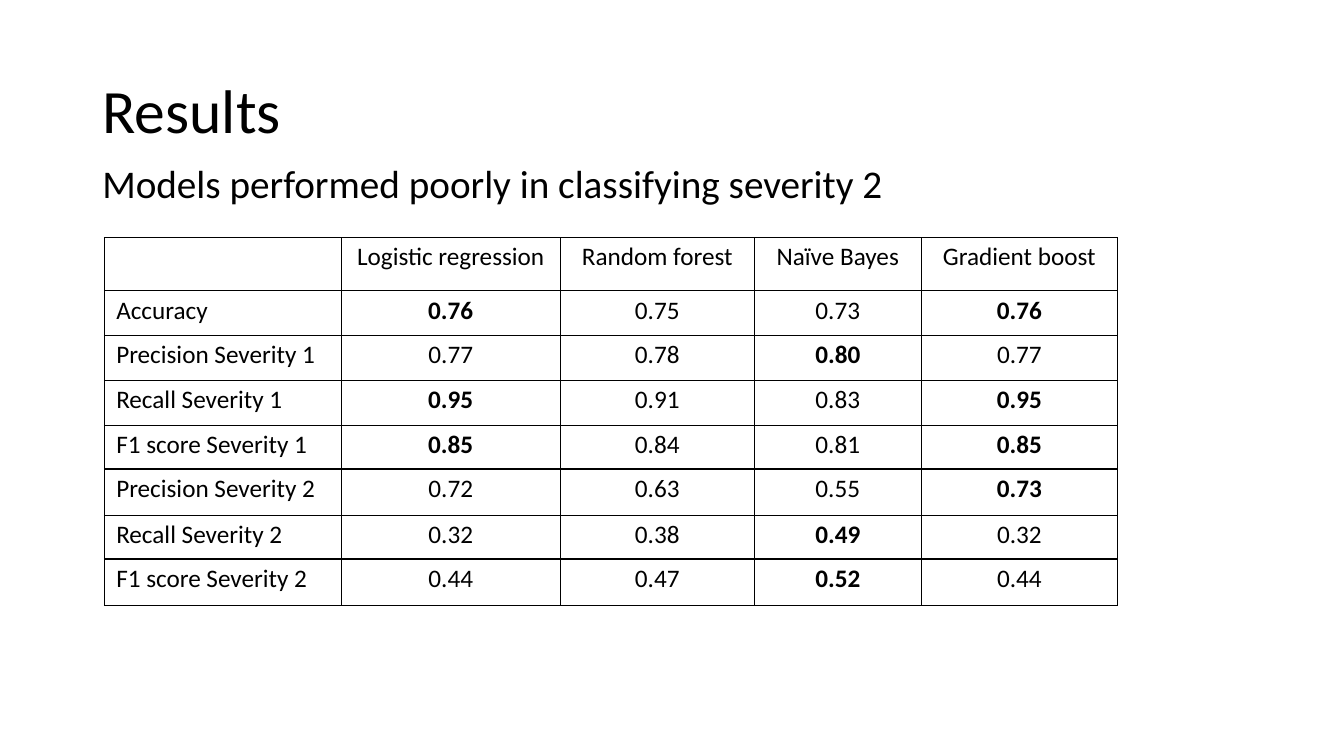
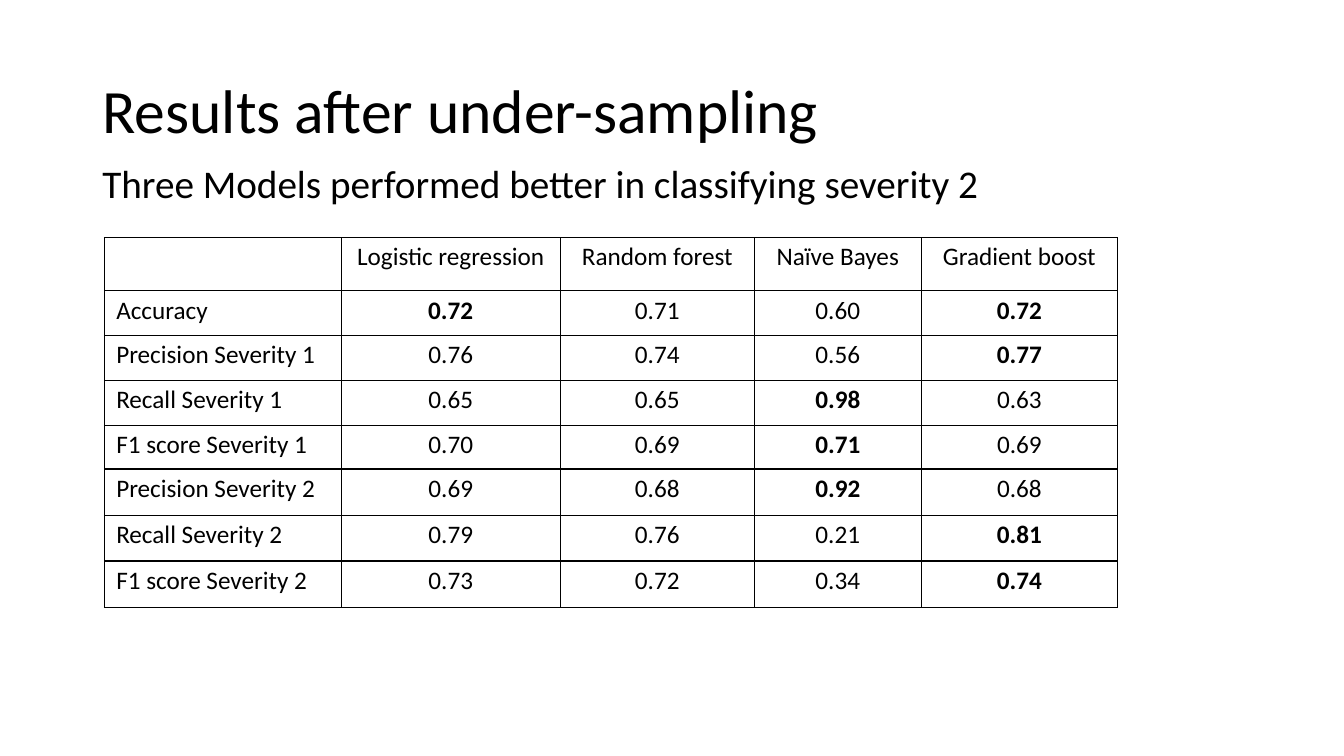
import pptx
import pptx.dml.color
import pptx.enum.text
import pptx.oxml
import pptx.oxml.ns
import pptx.util

Cm = pptx.util.Cm
Pt = pptx.util.Pt
ALIGN = pptx.enum.text.PP_ALIGN

MODELS = ["Logistic regression", "Random forest", "Naïve Bayes", "Gradient boost"]
METRICS = [
    "Accuracy",
    "Precision Severity 1",
    "Recall Severity 1",
    "F1 score Severity 1",
    "Precision Severity 2",
    "Recall Severity 2",
    "F1 score Severity 2",
]
SLIDES = [
    {
        "title": "Results",
        "subtitle": "Models performed poorly in classifying severity 2",
        "subtitle_width": 21.56,
        "scores": [
            (0.76, 0.75, 0.73, 0.76),
            (0.77, 0.78, 0.80, 0.77),
            (0.95, 0.91, 0.83, 0.95),
            (0.85, 0.84, 0.81, 0.85),
            (0.72, 0.63, 0.55, 0.73),
            (0.32, 0.38, 0.49, 0.32),
            (0.44, 0.47, 0.52, 0.44),
        ],
        "row_heights": [1.34, 1.13, 1.13, 1.13, 1.1, 1.17, 1.1, 1.17],
    },
    {
        "title": "Results after under-sampling",
        "subtitle": "Three Models performed better in classifying severity 2",
        "subtitle_width": 29.21,
        "scores": [
            (0.72, 0.71, 0.60, 0.72),
            (0.76, 0.74, 0.56, 0.77),
            (0.65, 0.65, 0.98, 0.63),
            (0.70, 0.69, 0.71, 0.69),
            (0.69, 0.68, 0.92, 0.68),
            (0.79, 0.76, 0.21, 0.81),
            (0.73, 0.72, 0.34, 0.74),
        ],
        "row_heights": [1.34, 1.13, 1.13, 1.13, 1.1, 1.17, 1.15, 1.17],
    },
]

COLORS = {"text": "000000", "border": "000000", "background": "FFFFFF"}
FONT = "Calibri"
COLUMN_WIDTHS = [5.97, 5.52, 4.89, 4.21, 4.94]
TEXT_LEFT = 2.33
TABLE_LEFT, TABLE_TOP = 2.63, 5.99
BORDER_WIDTH = Pt(1)


def write_text(text_frame, text, size=18, bold=False, align=ALIGN.LEFT, line_spacing=1.0):
    paragraph = text_frame.paragraphs[0]
    paragraph.alignment = align
    paragraph.line_spacing = line_spacing
    run = paragraph.add_run()
    run.text = text
    run.font.name = FONT
    run.font.size = Pt(size)
    run.font.bold = bold
    run.font.color.rgb = pptx.dml.color.RGBColor.from_string(COLORS["text"])


def add_title(slide, text):
    title = slide.shapes.title
    title.left, title.top = Cm(TEXT_LEFT), Cm(1.02)
    title.width, title.height = Cm(29.21), Cm(3.68)
    title.text_frame.auto_size = pptx.enum.text.MSO_AUTO_SIZE.NONE
    title.text_frame.vertical_anchor = pptx.enum.text.MSO_ANCHOR.MIDDLE
    write_text(title.text_frame, text, size=44, line_spacing=0.9)


def add_subtitle(slide, text, width):
    box = slide.shapes.add_textbox(Cm(TEXT_LEFT), Cm(3.89), Cm(width), Cm(1.45))
    box.text_frame.word_wrap = True
    box.text_frame.auto_size = pptx.enum.text.MSO_AUTO_SIZE.SHAPE_TO_FIT_TEXT
    write_text(box.text_frame, text, size=28)


def style_cell(cell):
    """Set the margins, the four borders and an empty fill."""
    cell.margin_left = cell.margin_right = Cm(0.3)
    cell.margin_top, cell.margin_bottom = Cm(0.05), 0
    properties = cell._tc.get_or_add_tcPr()
    for side in "LRTB":
        properties.append(pptx.oxml.parse_xml(
            f'<a:ln{side} {pptx.oxml.ns.nsdecls("a")} w="{BORDER_WIDTH}">'
            f'<a:solidFill><a:srgbClr val="{COLORS["border"]}"/></a:solidFill>'
            f'</a:ln{side}>'
        ))
    cell.fill.background()


def add_score_table(slide, scores, row_heights):
    """Draw the scores, with the best of each metric in bold."""
    frame = slide.shapes.add_table(
        len(row_heights), len(COLUMN_WIDTHS), Cm(TABLE_LEFT), Cm(TABLE_TOP),
        Cm(sum(COLUMN_WIDTHS)), Cm(sum(row_heights)))
    table = frame.table
    table.first_row = table.horz_banding = False
    for column, width in zip(table.columns, COLUMN_WIDTHS):
        column.width = Cm(width)
    for row, height in zip(table.rows, row_heights):
        row.height = Cm(height)
    for cell in table.iter_cells():
        style_cell(cell)

    for column, model in enumerate(MODELS, start=1):
        write_text(table.cell(0, column).text_frame, model,
                   align=ALIGN.CENTER, line_spacing=1.07)
    for row, (metric, values) in enumerate(zip(METRICS, scores), start=1):
        write_text(table.cell(row, 0).text_frame, metric, line_spacing=1.07)
        for column, value in enumerate(values, start=1):
            write_text(table.cell(row, column).text_frame, f"{value:.2f}",
                       bold=value == max(values), align=ALIGN.CENTER, line_spacing=1.07)


def main():
    presentation = pptx.Presentation()
    presentation.slide_width, presentation.slide_height = Cm(33.87), Cm(19.05)
    background = presentation.slide_master.background.fill
    background.solid()
    background.fore_color.rgb = pptx.dml.color.RGBColor.from_string(COLORS["background"])
    title_only = presentation.slide_layouts.get_by_name("Title Only")
    for content in SLIDES:
        slide = presentation.slides.add_slide(title_only)
        add_title(slide, content["title"])
        add_score_table(slide, content["scores"], content["row_heights"])
        add_subtitle(slide, content["subtitle"], content["subtitle_width"])
    presentation.save("out.pptx")


if __name__ == "__main__":
    main()
